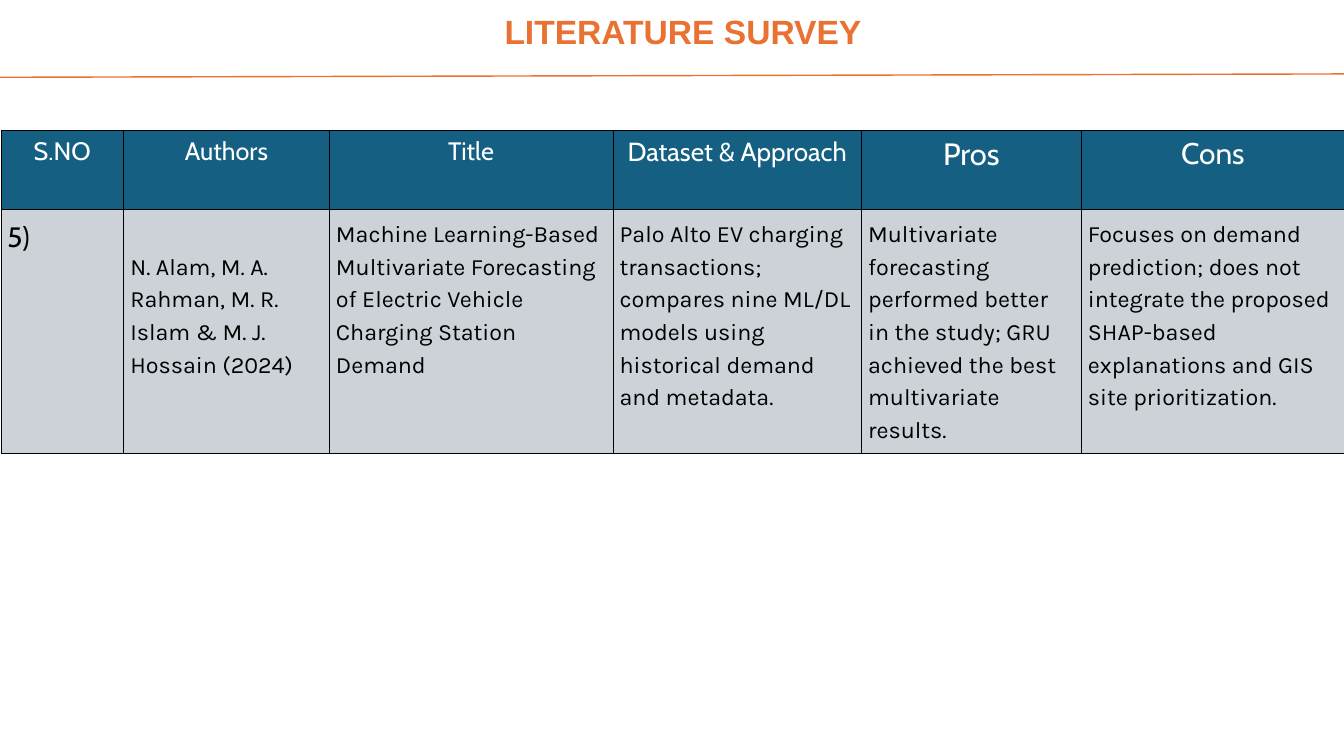
from lxml.etree import SubElement
from pptx import Presentation
from pptx.dml.color import RGBColor
from pptx.enum.shapes import MSO_CONNECTOR
from pptx.enum.text import MSO_ANCHOR, MSO_AUTO_SIZE, PP_ALIGN
from pptx.oxml.ns import qn
from pptx.util import Inches, Pt

ORANGE = RGBColor(0xE9, 0x71, 0x32)
TEAL = RGBColor(0x15, 0x60, 0x82)
GRAY = RGBColor(0xCC, 0xD2, 0xD8)
WHITE = RGBColor(0xFF, 0xFF, 0xFF)
BLACK = RGBColor(0x00, 0x00, 0x00)

THIN, THICK = 0.37, 0.75
MARGIN = 0.1
BODY_SPACING = 35
COLUMN_WIDTHS = [1.83, 3.06, 4.22, 3.7, 3.27, 3.92]
ROW_HEIGHTS = [1.18, 3.63]
HEADINGS = [
    ("S.NO", 27), ("Authors", 27), ("Title", 27),
    ("Dataset & Approach", 28), ("Pros", 33), ("Cons", 32),
]
STUDY = [
    "5)",
    "N. Alam, M. A. Rahman, M. R. Islam & M. J. Hossain (2024)",
    "Machine Learning-Based Multivariate Forecasting of Electric Vehicle Charging Station Demand",
    "Palo Alto EV charging transactions; compares nine ML/DL models using historical demand and metadata.",
    "Multivariate forecasting performed better in the study; GRU achieved the best multivariate results.",
    "Focuses on demand prediction; does not integrate the proposed SHAP-based explanations "
    "and GIS site prioritization.",
]


def write_text(frame, text, *, size, spacing, font="Karla", color=BLACK, bold=False, align=PP_ALIGN.LEFT):
    """Write one formatted paragraph into a text frame."""
    paragraph = frame.paragraphs[0]
    paragraph.alignment = align
    paragraph.line_spacing = Pt(spacing)
    paragraph.space_before = Pt(0)
    run = paragraph.add_run()
    run.text = text
    run.font.name = font
    run.font.size = Pt(size)
    run.font.bold = bold
    run.font.color.rgb = color


class SurveySlide:
    """Hold the style and the current slide, and add its elements."""

    def __init__(self, presentation):
        self.slide = presentation.slides.add_slide(presentation.slide_layouts[5])

    def add_title(self, text, left, top, width, height):
        title = self.slide.shapes.title
        title.left, title.top = Inches(left), Inches(top)
        title.width, title.height = Inches(width), Inches(height)
        frame = title.text_frame
        frame.margin_left = frame.margin_right = frame.margin_top = frame.margin_bottom = 0
        frame.vertical_anchor = MSO_ANCHOR.TOP
        frame.auto_size = MSO_AUTO_SIZE.NONE
        frame.word_wrap = True
        write_text(frame, text, size=36, spacing=38.9, font="Arial", color=ORANGE,
                   bold=True, align=PP_ALIGN.CENTER)

    def add_rule(self, start, end):
        points = [Inches(value) for value in (*start, *end)]
        rule = self.slide.shapes.add_connector(MSO_CONNECTOR.STRAIGHT, *points)
        rule.line.color.rgb = ORANGE
        rule.line.width = Pt(1.5)
        SubElement(rule.element.spPr, qn("a:effectLst"))

    def add_table(self, left, top):
        frame = self.slide.shapes.add_table(
            len(ROW_HEIGHTS), len(COLUMN_WIDTHS), Inches(left), Inches(top),
            Inches(sum(COLUMN_WIDTHS)), Inches(sum(ROW_HEIGHTS)))
        table = frame.table
        table.first_row = table.horz_banding = False
        for column, width in zip(table.columns, COLUMN_WIDTHS):
            column.width = Inches(width)
        for row, height in zip(table.rows, ROW_HEIGHTS):
            row.height = Inches(height)
        return table

    def style_cell(self, cell, fill, left=THIN, right=THIN, top=THIN, bottom=THIN):
        properties = cell._tc.get_or_add_tcPr()
        for side, width in zip("LRTB", (left, right, top, bottom)):
            border = SubElement(properties, qn(f"a:ln{side}"), w=str(Pt(width)))
            solid = SubElement(border, qn("a:solidFill"))
            SubElement(solid, qn("a:srgbClr"), val=str(BLACK))
        cell.fill.solid()
        cell.fill.fore_color.rgb = fill
        cell.vertical_anchor = MSO_ANCHOR.TOP
        cell.margin_left = cell.margin_right = Inches(MARGIN)
        cell.margin_top = cell.margin_bottom = Inches(MARGIN)

    def fill_headings(self, table):
        for column, (text, size) in enumerate(HEADINGS):
            cell = table.cell(0, column)
            self.style_cell(cell, TEAL)
            write_text(cell.text_frame, text, size=size, spacing=1.2 * size, font="Cabin",
                       color=WHITE, align=PP_ALIGN.CENTER)

    def fill_study(self, table):
        last = len(STUDY) - 1
        for column, text in enumerate(STUDY):
            cell = table.cell(1, column)
            self.style_cell(cell, GRAY,
                            left=THIN if column < 2 else THICK,
                            right=THIN if column == last else THICK,
                            bottom=THICK if column < 2 else THIN)
            if column == 0:
                write_text(cell.text_frame, text, size=30, spacing=42, font="Cabin")
            else:
                write_text(cell.text_frame, text, size=25, spacing=BODY_SPACING)
        table.cell(1, 1).margin_top = Inches(MARGIN) + Pt(BODY_SPACING)


def main():
    presentation = Presentation()
    presentation.slide_width = Inches(20)
    presentation.slide_height = Inches(11.25)
    survey = SurveySlide(presentation)
    survey.add_title("LITERATURE SURVEY", 0.24, 0.22, 19.85, 0.93)
    survey.add_rule((0, 1.15), (20, 1.1))
    table = survey.add_table(0.01, 1.93)
    survey.fill_headings(table)
    survey.fill_study(table)
    presentation.save("out.pptx")


if __name__ == "__main__":
    main()
